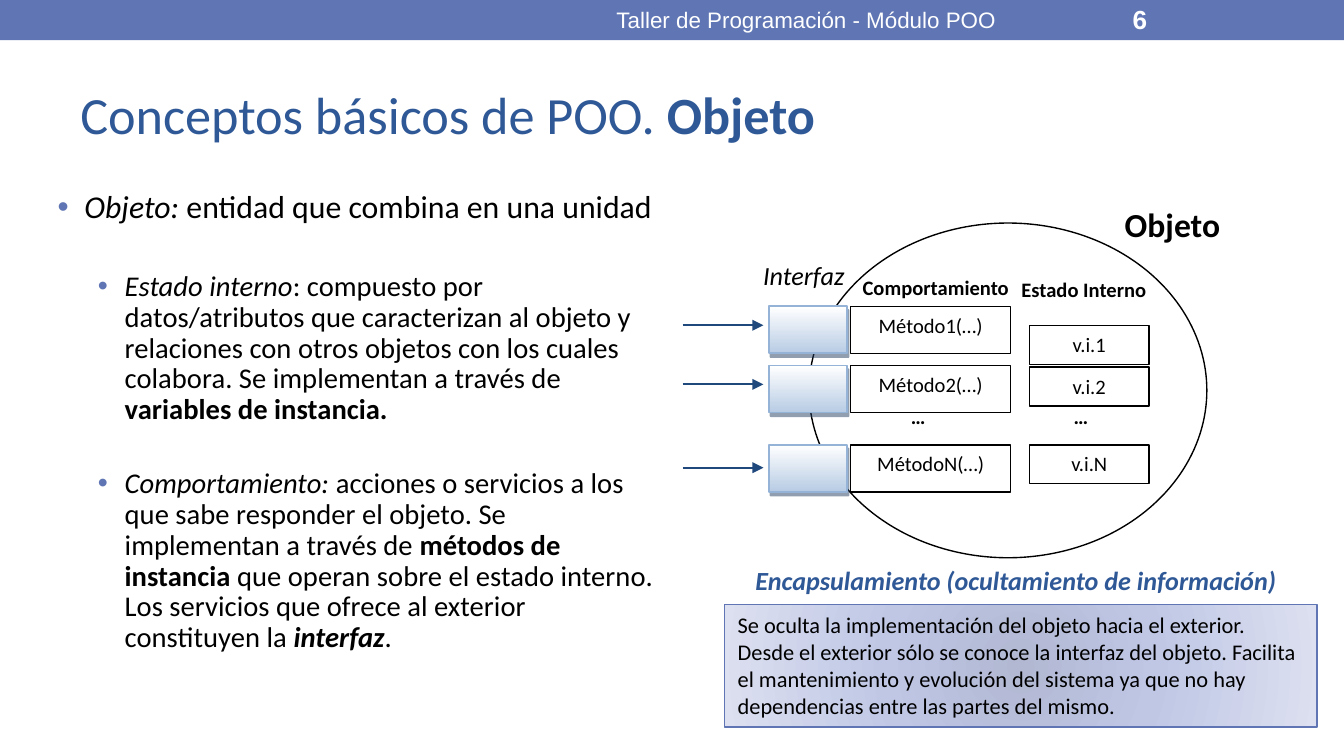
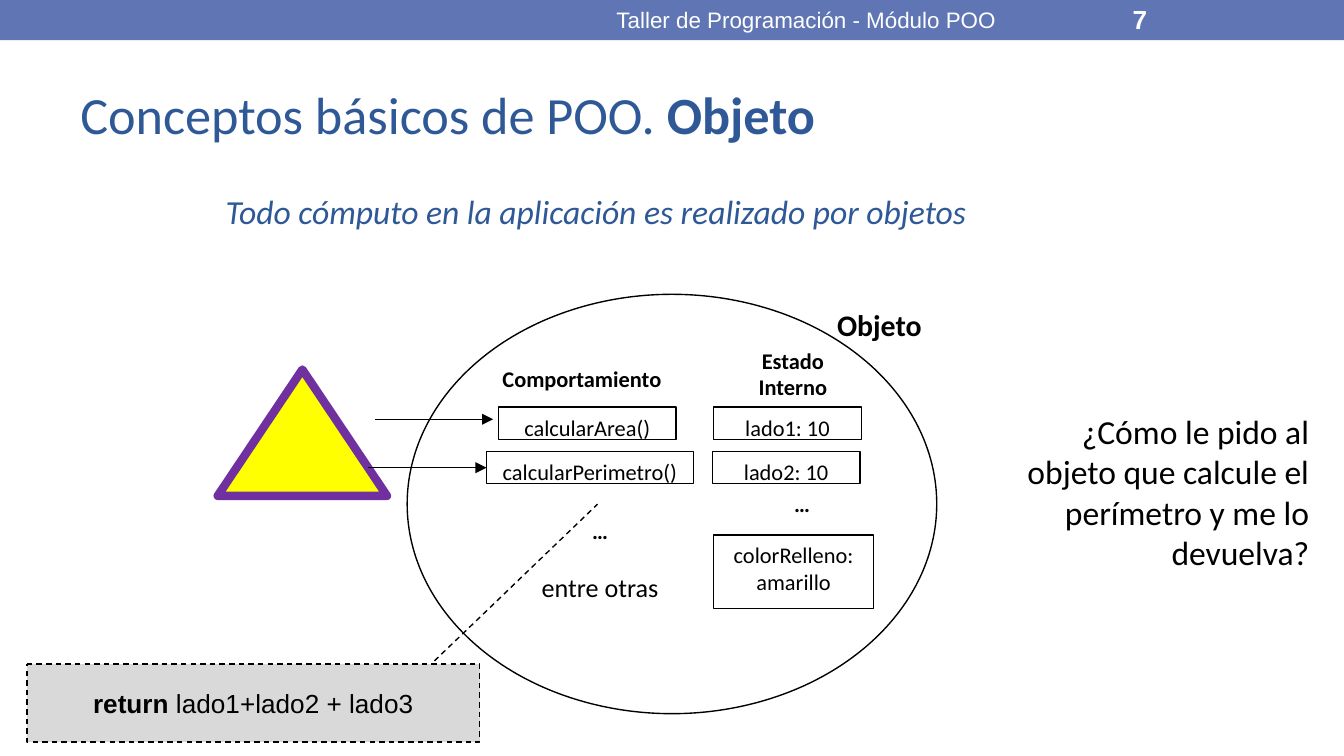
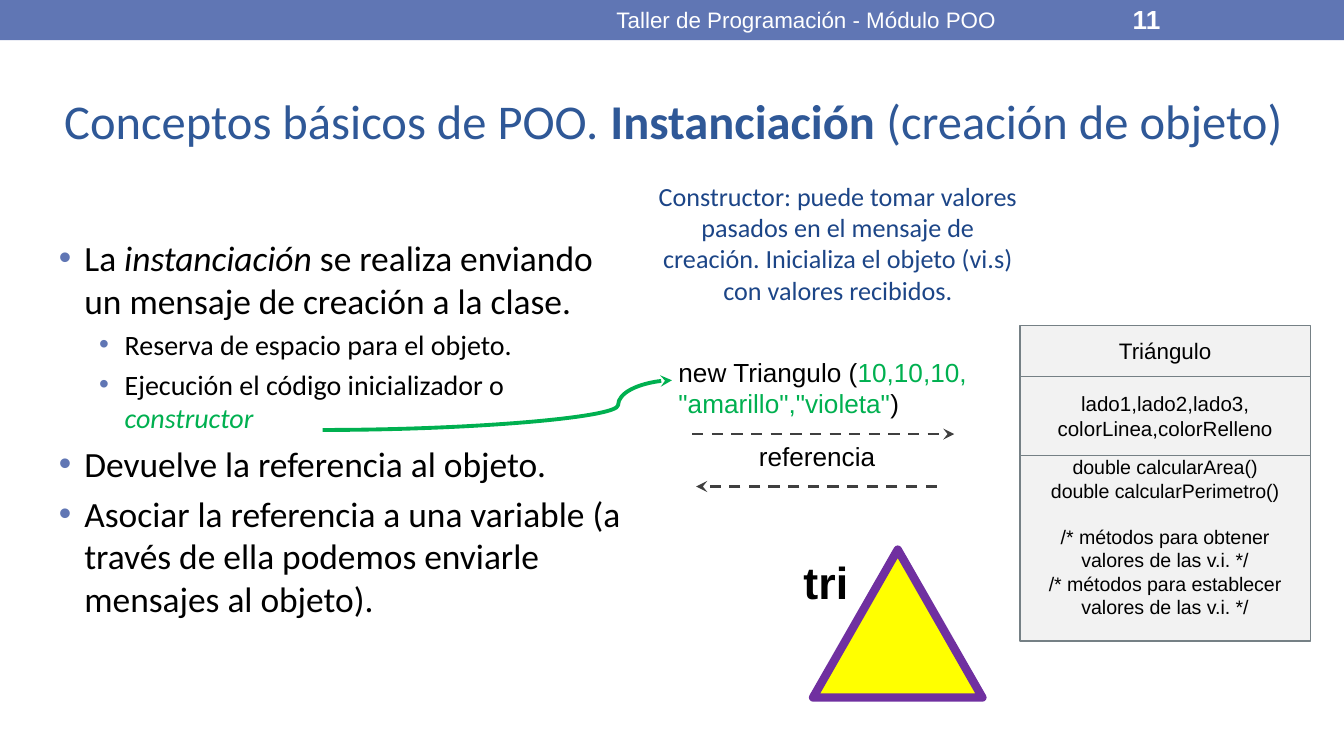
from pptx import Presentation
from pptx.dml.color import RGBColor
from pptx.enum.dml import MSO_LINE
from pptx.enum.shapes import MSO_CONNECTOR, MSO_SHAPE
from pptx.enum.text import MSO_ANCHOR, PP_ALIGN
from pptx.oxml import parse_xml
from pptx.oxml.ns import nsdecls, qn
from pptx.oxml.xmlchemy import OxmlElement
from pptx.util import Inches, Pt

PX = 9144  # 100 px to the inch
BAND = RGBColor(0x60, 0x76, 0xB4)
TITLE = RGBColor(0x2F, 0x58, 0x97)
NOTE = RGBColor(0x1C, 0x45, 0x87)
NAVY = RGBColor(0x1F, 0x49, 0x7D)
STEEL = RGBColor(0x95, 0xB3, 0xD7)
SHADE = RGBColor(0x24, 0x3F, 0x60)
BLACK = RGBColor(0, 0, 0)
WHITE = RGBColor(255, 255, 255)
GREEN = RGBColor(0, 0xB0, 0x50)
YELLOW = RGBColor(255, 255, 0)
PURPLE = RGBColor(0x70, 0x30, 0xA0)
GRAY = RGBColor(0xD9, 0xD9, 0xD9)
PALE = RGBColor(0xF2, 0xF2, 0xF2)
SLATE = RGBColor(0x75, 0x80, 0x85)
DARK = RGBColor(0x3F, 0x3F, 0x3F)
KEY_FILL = [(0, WHITE), (100, RGBColor(0xB8, 0xCC, 0xE4))]
NOTE_FILL = [(0, RGBColor(0xB2, 0xB8, 0xD2)), (45, RGBColor(0xBF, 0xC7, 0xE5)),
             (100, RGBColor(0xDC, 0xE0, 0xF0))]
LEFT, MID, RIGHT = PP_ALIGN.LEFT, PP_ALIGN.CENTER, PP_ALIGN.RIGHT

# Content: a paragraph is a string or a list of (text, style);
# styles are b bold, i italic, g green
COURSE = "Taller de Programación - Módulo POO"
TOPIC = "Conceptos básicos de POO. "
HEAD = [(TOPIC, ""), ("Objeto", "b")]
HEAD_NEW = [(TOPIC, ""), ("Instanciación", "b"), (" (creación de objeto)", "")]

# Bullets: level, space before, paragraph
PARTS = [
    (0, 0, [("Objeto: ", "i"), ("entidad que combina en una unidad", "")]),
    (1, 25, [("Estado interno", "i"),
             (": compuesto por datos/atributos que caracterizan al objeto y relaciones con "
              "otros objetos con los cuales colabora. Se implementan a través de ", ""),
             ("variables de instancia.", "b")]),
    (1, 23, [("Comportamiento: ", "i"),
             ("acciones o servicios a los que sabe responder el objeto. "
              "Se implementan a través de ", ""),
             ("métodos de instancia", "b"),
             (" que operan sobre el estado interno. Los servicios que ofrece al exterior "
              "constituyen la ", ""),
             ("interfaz", "bi"), (".", "")]),
]
STEPS = [
    (0, 0, [("La ", ""), ("instanciación ", "i"),
            ("se realiza enviando un mensaje de creación a la clase.", "")]),
    (1, 3.2, "Reserva de espacio para el objeto."),
    (1, 3.2, [("Ejecución el código inicializador o ", ""), ("constructor", "gi")]),
    (0, 4, "Devuelve la referencia al objeto."),
    (0, 4, "Asociar la referencia a una variable (a través de ella podemos enviarle "
           "mensajes al objeto)."),
]
# Rows: method, its top, variable, its top
ROWS = [("Método1(…)", 228, "v.i.1", 242),
        ("Método2(…)", 272, "v.i.2", 273),
        ("MétodoN(…)", 331, "v.i.N", 331)]
HIDING = ("Se oculta la implementación del objeto hacia el exterior. Desde el exterior sólo se "
          "conoce la interfaz del objeto. Facilita el mantenimiento y evolución del sistema ya "
          "que no hay dependencias entre las partes del mismo.")
FIELDS = [((531, 303, 110, 24), "lado1: 10"),
          ((530, 336, 110, 24), "lado2: 10"),
          ((531, 398, 119, 55), "colorRelleno: amarillo")]
ASK = "¿Cómo le pido al objeto que calcule el perímetro y me lo devuelva?"
# Class box: height, size, paragraphs
CLASS = [(38, 12, ["Triángulo"]),
         (59, 11, ["lado1,lado2,lado3,", "colorLinea,colorRelleno"]),
         (138, 10.5, ["double calcularArea()", "double calcularPerimetro()",
                      "/* métodos para obtener valores de las v.i. */",
                      "/* métodos para establecer valores de las v.i. */"])]
BUILDER = ("Constructor: puede tomar valores pasados en el mensaje de creación. "
           "Inicializa el objeto (vi.s) con valores recibidos.")
CALL = [("new Triangulo (", ""), ('10,10,10, "amarillo","violeta"', "g"), (")", "")]


def emu(*nums):
    return [round(n * PX) for n in nums]


# Text
def fill_line(para, body, size, face="Calibri", ink=BLACK, style="", align=LEFT):
    para.alignment = align
    marks = [style]
    if isinstance(body, str):
        para.text = body
    else:
        marks = [mark for _, mark in body]
        for part, _ in body:
            para.add_run().text = part
    for run, mark in zip(para.runs, marks):
        font = run.font
        font.name, font.size = face, Pt(size)
        font.bold, font.italic = "b" in mark, "i" in mark
        font.color.rgb = GREEN if "g" in mark else ink


def write(shape, paras, size, anchor=MSO_ANCHOR.TOP, **look):
    frame = shape.text_frame
    frame.word_wrap = True
    frame.vertical_anchor = anchor
    for i, body in enumerate(paras):
        para = frame.add_paragraph() if i else frame.paragraphs[0]
        fill_line(para, body, size, **look)
    return frame


def label(slide, box, paras, size, **look):
    return write(slide.shapes.add_textbox(*emu(*box)), paras, size, **look)


def bullets(slide, box, items, sizes, hang, pitch):
    frame = slide.shapes.add_textbox(*emu(*box)).text_frame
    frame.word_wrap = True
    for i, (level, gap, body) in enumerate(items):
        para = frame.add_paragraph() if i else frame.paragraphs[0]
        props = para._p.get_or_add_pPr()
        props.set("marL", str((20, 50)[level] * PX))
        props.set("indent", str(-hang * PX))
        props.append(parse_xml(f'<a:buClr {nsdecls("a")}><a:srgbClr val="{BAND}"/></a:buClr>'))
        props.append(parse_xml(f'<a:buFont {nsdecls("a")} typeface="Arial"/>'))
        props.append(parse_xml(f'<a:buChar {nsdecls("a")} char="•"/>'))
        para.level = level
        para.line_spacing = pitch
        para.space_before = Pt(gap)
        fill_line(para, body, sizes[level])


# Shapes and lines
def shape(slide, box, fill=WHITE, line=BLACK, width=0.75, kind=MSO_SHAPE.RECTANGLE):
    item = slide.shapes.add_shape(kind, *emu(*box))
    item.shadow.inherit = False
    item.fill.solid()
    item.fill.fore_color.rgb = fill
    if line is None:
        item.line.fill.background()
    else:
        item.line.color.rgb = line
        item.line.width = Pt(width)
    return item


def blend(item, stops, course):
    marks = "".join(f'<a:gs pos="{pos * 1000}"><a:srgbClr val="{ink}"/></a:gs>'
                    for pos, ink in stops)
    props = item.element.spPr
    props.replace(props.find(qn("a:solidFill")), parse_xml(
        f'<a:gradFill {nsdecls("a")} rotWithShape="1"><a:gsLst>{marks}</a:gsLst>'
        f'{course}</a:gradFill>'))


def cast(item):
    item.element.spPr.find(qn("a:effectLst")).append(parse_xml(
        f'<a:outerShdw {nsdecls("a")} dist="{Pt(2.2)}" dir="3780000" algn="ctr" '
        f'rotWithShape="0"><a:srgbClr val="{SHADE}"><a:alpha val="50000"/></a:srgbClr>'
        '</a:outerShdw>'))


def arrow(slide, start, end, ink, width, head="triangle", dash=None,
          kind=MSO_CONNECTOR.STRAIGHT):
    item = slide.shapes.add_connector(kind, *emu(*start, *end))
    item.line.color.rgb = ink
    item.line.width = Pt(width)
    if dash:
        item.line.dash_style = dash
    tip = OxmlElement("a:tailEnd")
    tip.set("type", head)
    item.line._get_or_add_ln().append(tip)
    item.element.spPr.append(OxmlElement("a:effectLst"))
    return item


def cell(slide, box, name, size):
    item = shape(slide, box)
    write(item, [name], size, align=MID)
    return item


def figure(slide, box):
    shape(slide, box, YELLOW, PURPLE, 4.5, MSO_SHAPE.ISOSCELES_TRIANGLE)


# Shared band, title, course name and page number
def page(deck, number, head, box=(50, 44, 900, 81), size=28):
    slide = deck.slides.add_slide(deck.slide_layouts[6])
    center = MSO_ANCHOR.MIDDLE
    shape(slide, (0, 0, 1000, 30), BAND, None)
    label(slide, box, [head], size, ink=TITLE, anchor=center)
    bar = dict(face="Arial", ink=WHITE, anchor=center)
    label(slide, (375, 1, 450, 27), [COURSE], 12, align=MID, **bar)
    label(slide, (833, 1, 117, 27), [str(number)], 14, style="b", **bar)
    return slide


def object_page(deck):
    slide = page(deck, 6, HEAD)
    bullets(slide, (33, 137, 470, 412), PARTS, (17, 15.3), 20, 0.9)

    # Object with its methods and variables
    shape(slide, (602, 166, 296, 249), kind=MSO_SHAPE.OVAL)
    for method, top, field, low in ROWS:
        cell(slide, (633, top, 119, 35), method, 11)
        cell(slide, (766, low, 89, 29), field, 11)
        key = shape(slide, (572, top, 58, 35), line=STEEL, width=1)
        blend(key, KEY_FILL, '<a:lin ang="5400000" scaled="0"/>')
        cast(key)
    for y in (242, 286, 348):
        arrow(slide, (508, y), (568, y), NAVY, 1)
    label(slide, (632, 200, 143, 45), ["Comportamiento"], 11, style="b")
    label(slide, (740, 201, 133, 30), ["Estado Interno"], 11, style="b", align=MID)
    for x in (668, 789):
        label(slide, (x, 296, 127, 43), ["…"], 11, style="b")
    label(slide, (827, 147, 98, 41), ["Objeto"], 18, style="b")
    label(slide, (558, 188, 87, 39), ["Interfaz"], 14, style="i")

    # Encapsulation note
    label(slide, (525, 415, 462, 34), ["Encapsulamiento (ocultamiento de información)"], 14,
          ink=TITLE, style="bi", align=MID)
    note = shape(slide, (539, 450, 441, 91), line=BAND)
    blend(note, NOTE_FILL, '<a:path path="circle"><a:fillToRect l="50000" t="50000" '
                           'r="50000" b="50000"/></a:path>')
    write(note, [HIDING], 12)


def compute_page(deck):
    slide = page(deck, 7, HEAD)
    label(slide, (158, 137, 638, 40),
          ["Todo cómputo en la aplicación es realizado por objetos"], 18, ink=TITLE, style="i")
    figure(slide, (162, 275, 126, 94))

    # Triangle object
    shape(slide, (303, 219, 394, 312), kind=MSO_SHAPE.OVAL)
    label(slide, (613, 223, 88, 48), ["Objeto"], 16, style="b")
    label(slide, (364, 267, 154, 48), ["Comportamiento"], 12, style="b")
    label(slide, (513, 253, 154, 48), ["Estado", "Interno"], 12, style="b", align=MID)
    for box, name in FIELDS:
        cell(slide, box, name, 12)
    cell(slide, (371, 303, 132, 24), "calcularArea()", 12)
    around = cell(slide, (362, 336, 154, 24), "calcularPerimetro()", 12)
    more = label(slide, (358, 380, 177, 73), ["…", "entre otras"], 12, align=MID)
    first, last = more.paragraphs
    first.runs[0].font.bold = True
    last.runs[0].font.size = Pt(14)
    last.space_before = Pt(14.6)
    label(slide, (581, 360, 139, 47), ["…"], 12, style="b")
    arrow(slide, (279, 312), (367, 312), BLACK, 0.75)
    arrow(slide, (274, 348), (362, 348), BLACK, 0.75).end_connect(around, 1)

    # Question and callout with the code
    label(slide, (726, 301, 258, 157), [ASK], 18, align=RIGHT)
    code = shape(slide, (20, 494, 337, 58), GRAY, kind=MSO_SHAPE.LINE_CALLOUT_1)
    for i, value in enumerate((-0.04, 0.9, -2.05, 1.26)):
        code.adjustments[i] = value
    code.line.dash_style = MSO_LINE.DASH
    write(code, [[("return", "b"), (" lado1+lado2 + lado3", "")]], 14,
          face="Arial", align=MID, anchor=MSO_ANCHOR.MIDDLE)


def create_page(deck):
    slide = page(deck, 11, HEAD_NEW, (38, 49, 970, 81), 26)
    bullets(slide, (33, 171, 450, 339), STEPS, (19, 15), 19, 1.0)
    label(slide, (479, 129, 289, 91), [BUILDER], 14, ink=NOTE, align=MID)

    # Class box
    top = 242
    for height, size, lines in CLASS:
        item = shape(slide, (759, top, 216, height), PALE, SLATE)
        frame = write(item, lines, size, face="Arial", align=MID, anchor=MSO_ANCHOR.MIDDLE)
        top += height
    frame.paragraphs[2].space_before = Pt(12)
    frame.margin_bottom = 22 * PX

    # Message and answer
    label(slide, (495, 260, 244, 57), [CALL], 14, face="Arial")
    label(slide, (543, 323, 130, 34), ["referencia"], 14, face="Arial", align=MID)
    for start, end, y in ((515, 710, 323), (697, 518, 362)):
        arrow(slide, (start, y), (end, y), DARK, 1.5, "stealth", MSO_LINE.DASH)
    curve = arrow(slide, (240, 320), (500, 283), GREEN, 2.08, "stealth",
                  kind=MSO_CONNECTOR.CURVE)
    bend = OxmlElement("a:gd")
    bend.set("name", "adj1")
    bend.set("fmla", "val 84600")
    curve.element.spPr.find(qn("a:prstGeom")).find(qn("a:avLst")).append(bend)

    # New object
    figure(slide, (605, 409, 126, 110))
    label(slide, (588, 408, 68, 50), ["tri"], 24, face="Arial", style="b")


def main():
    deck = Presentation()
    deck.slide_width, deck.slide_height = Inches(10), Inches(5.625)
    object_page(deck)
    compute_page(deck)
    create_page(deck)
    deck.save("out.pptx")


if __name__ == "__main__":
    main()
